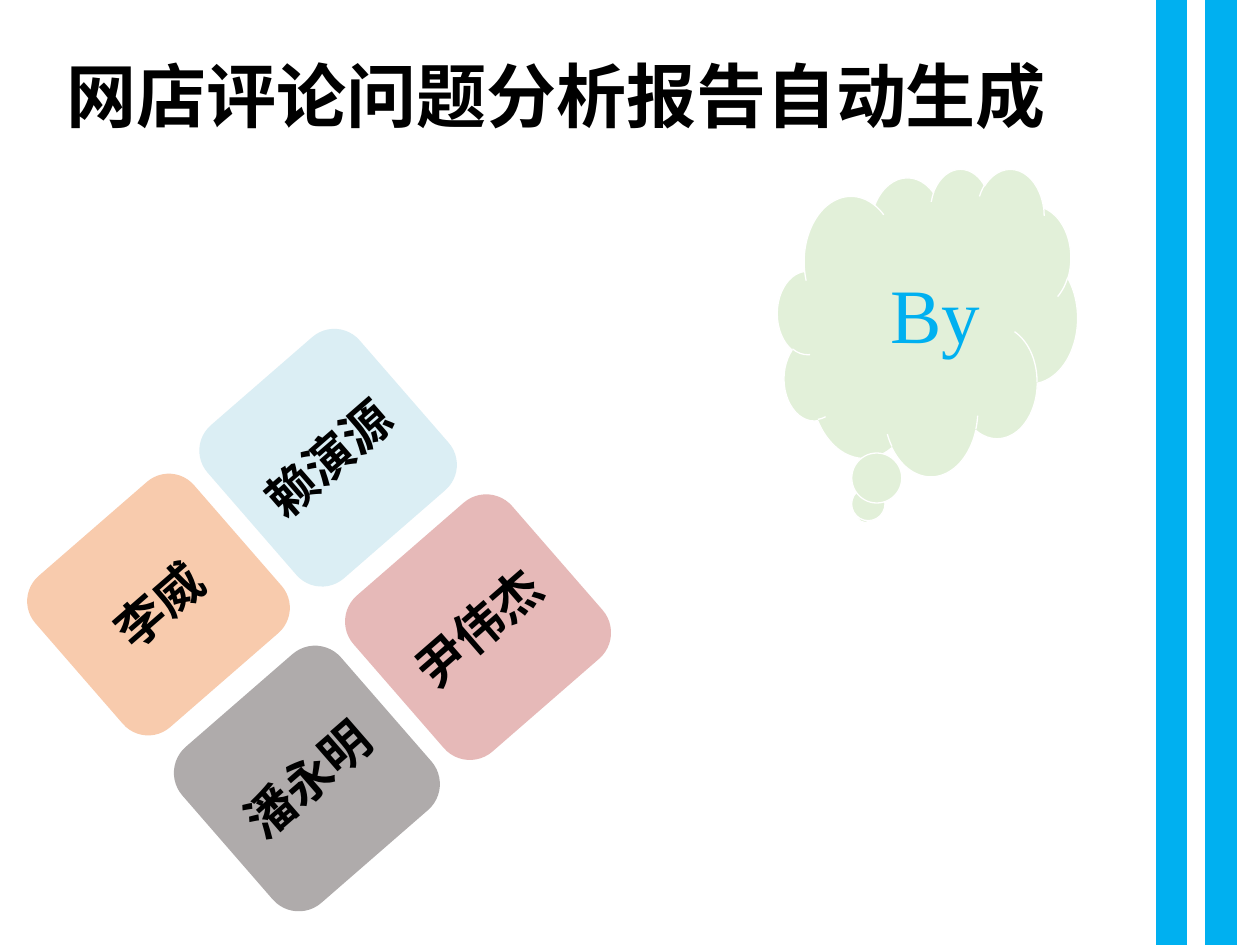
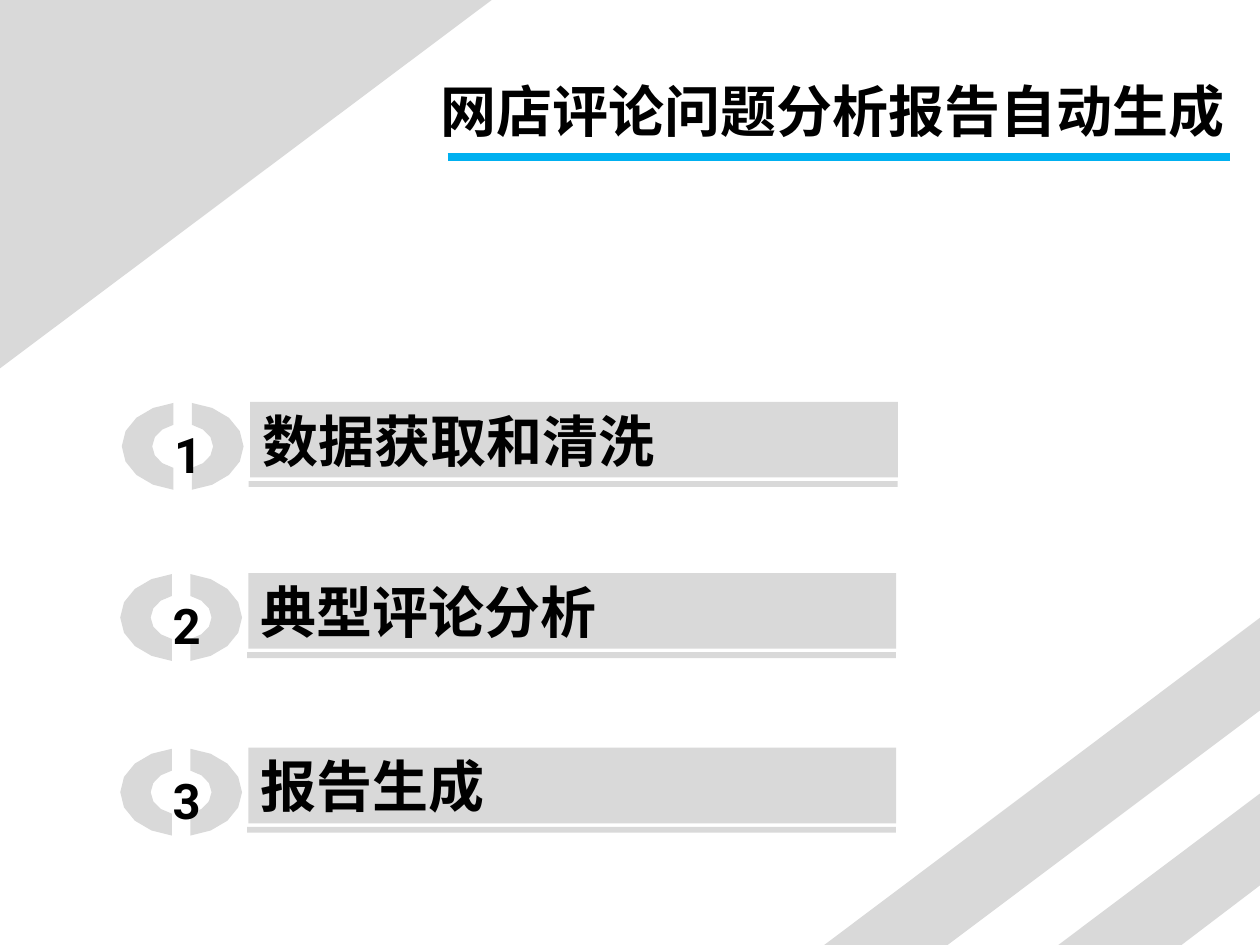
from math import acos, cos, sin

from lxml.etree import SubElement
from pptx import Presentation
from pptx.dml.color import RGBColor
from pptx.enum.shapes import MSO_CONNECTOR as Connector, MSO_SHAPE as Shape
from pptx.enum.text import MSO_ANCHOR as Anchor, MSO_AUTO_SIZE as AutoSize, PP_ALIGN as Align
from pptx.oxml.ns import qn
from pptx.util import Pt

# Shared look
BLUE, GREY, BLACK, WHITE = "00B0F0", "D9D9D9", "000000", "FFFFFF"
SERIF, SANS, NUMBER_FONT = "Times New Roman", "Calibri", "Roboto"
WIDTH, HEIGHT = 720, 540
TITLE = "网店评论问题分析报告自动生成"

# Opening slide: name, left, top, width, height, fill
NAME_TILES = [
    ("赖演源", 129.9, 203.6, 115.2, 115.9, "DBEEF4"),
    ("尹伟杰", 213.1, 299.3, 120.2, 118.1, "E6B9B8"),
    ("潘永明", 115.3, 385.8, 120.2, 118.1, "AFABAB"),
    ("李威", 30.5, 288.2, 120.2, 114.5, "F8CBAD"),
]
TILE_ROTATION = 319

# Agenda slide: text, left and top of the bar
AGENDA = [
    ("数据获取和清洗", 142.9, 229.7),
    ("典型评论分析", 142, 327.5),
    ("报告生成", 142, 427.3),
]
CORNER = [(0, 0), (281, 0), (0, 210.5)]
STRIPES = [
    [(WIDTH, 353), (WIDTH, 406), (541.5, HEIGHT), (471, HEIGHT)],
    [(WIDTH, 453.5), (WIDTH, 506), (675.2, HEIGHT), (604.8, HEIGHT)],
]


def color(value):
    return RGBColor.from_string(value)


def paint(shape, fill, line=None, line_width=0.75):
    shape.shadow.inherit = False
    shape.fill.solid()
    shape.fill.fore_color.rgb = color(fill)
    if line:
        shape.line.color.rgb = color(line)
        shape.line.width = Pt(line_width)
    else:
        shape.line.fill.background()


def write(shape, text, size, font, text_color=BLACK, bold=True,
          align=Align.JUSTIFY, anchor=Anchor.TOP, wrap=True):
    frame = shape.text_frame
    frame.text = text
    frame.word_wrap = wrap
    frame.auto_size = AutoSize.NONE
    frame.vertical_anchor = anchor
    paragraph = frame.paragraphs[0]
    paragraph.alignment = align
    run_font = paragraph.runs[0].font
    run_font.name, run_font.size, run_font.bold = font, Pt(size), bold
    run_font.color.rgb = color(text_color)


def add_block(slide, kind, left, top, width, height, fill, line=None, line_width=0.75):
    shape = slide.shapes.add_shape(kind, Pt(left), Pt(top), Pt(width), Pt(height))
    paint(shape, fill, line, line_width)
    return shape


def add_text(slide, text, left, top, width, height, size, font, **style):
    box = slide.shapes.add_textbox(Pt(left), Pt(top), Pt(width), Pt(height))
    write(box, text, size, font, **style)


def add_outline(slide, contours, fill):
    """Fill one or more closed outlines as a single shape."""
    builder = None
    for contour in contours:
        points = [(Pt(x), Pt(y)) for x, y in contour]
        if builder is None:
            builder = slide.shapes.build_freeform(*points[0], scale=1.0)
        else:
            builder.move_to(*points[0])
        builder.add_line_segments(points[1:], close=True)
    paint(builder.convert_to_shape(), fill)


def add_line(slide, x1, y1, x2, y2, line_color, width):
    line = slide.shapes.add_connector(Connector.STRAIGHT, Pt(x1), Pt(y1), Pt(x2), Pt(y2))
    line.line.color.rgb = color(line_color)
    line.line.width = Pt(width)
    SubElement(line._element.spPr, qn("a:effectLst"))


def add_titled_slide(presentation, left, top, width, height, size):
    slide = presentation.slides.add_slide(presentation.slide_layouts[5])
    title = slide.shapes.title
    title.left, title.top, title.width, title.height = map(Pt, (left, top, width, height))
    write(title, TITLE, size, SERIF)
    return slide


def arc(center_x, center_y, radius_x, radius_y, half_gap, side, steps):
    """Points of a half ellipse, from top to bottom, cut off beside the gap."""
    limit = acos(half_gap / radius_x)
    angles = [-limit + 2 * limit * step / steps for step in range(steps + 1)]
    return [(center_x + side * radius_x * cos(angle), center_y + radius_y * sin(angle))
            for angle in angles]


def add_split_ring(slide, center_x, center_y):
    halves = [arc(center_x, center_y, 34.8, 25.1, 5.3, side, 8)
              + arc(center_x, center_y, 17.4, 12.9, 5.3, side, 6)[::-1]
              for side in (1, -1)]
    add_outline(slide, halves, GREY)


def add_agenda_row(slide, number, text, left, top):
    bar = add_block(slide, Shape.RECTANGLE, left, top, 370.2, 43.2, GREY)
    write(bar, text, 32, SERIF, anchor=Anchor.MIDDLE)
    add_block(slide, Shape.RECTANGLE, left - 0.8, top + 45.2, 370.8, 3.4, GREY)
    add_split_ring(slide, left - 38.5, top + 25.4)
    add_text(slide, str(number), left - 50.4, top + 9.4, 23.8, 41, 28, NUMBER_FONT,
             align=Align.LEFT, wrap=False)


def build_opening(presentation):
    slide = add_titled_slide(presentation, 31, 26.3, 607, 55.4, 40)
    # Cloud with its label
    add_block(slide, Shape.CLOUD_CALLOUT, 444.3, 96.2, 171.4, 175.7, "E2F0D9", WHITE)
    add_text(slide, "By", 501.8, 148.6, 159.8, 60.5, 44, SERIF, text_color=BLUE, bold=False)
    # Vertical bands
    for left in (661.7, 689.8):
        add_block(slide, Shape.RECTANGLE, left, 0, 15.8, HEIGHT, BLUE, BLUE, 2)
    # Tilted name tiles
    for name, left, top, width, height, fill in NAME_TILES:
        tile = add_block(slide, Shape.ROUNDED_RECTANGLE, left, top, width, height, fill)
        tile.rotation = TILE_ROTATION
        write(tile, name, 28, SANS, align=Align.CENTER, anchor=Anchor.MIDDLE)


def build_agenda(presentation):
    slide = add_titled_slide(presentation, 244.3, 40.3, 466.6, 46.1, 32)
    # Slanted background and title rule
    for outline in [CORNER, *STRIPES]:
        add_outline(slide, [outline], GREY)
    add_line(slide, 255.8, 89.8, 702.8, 89.8, BLUE, 4.5)
    # Numbered rows
    for number, (text, left, top) in enumerate(AGENDA, start=1):
        add_agenda_row(slide, number, text, left, top)


def main():
    presentation = Presentation()
    presentation.slide_width, presentation.slide_height = Pt(WIDTH), Pt(HEIGHT)
    build_opening(presentation)
    build_agenda(presentation)
    presentation.save("out.pptx")


if __name__ == "__main__":
    main()
